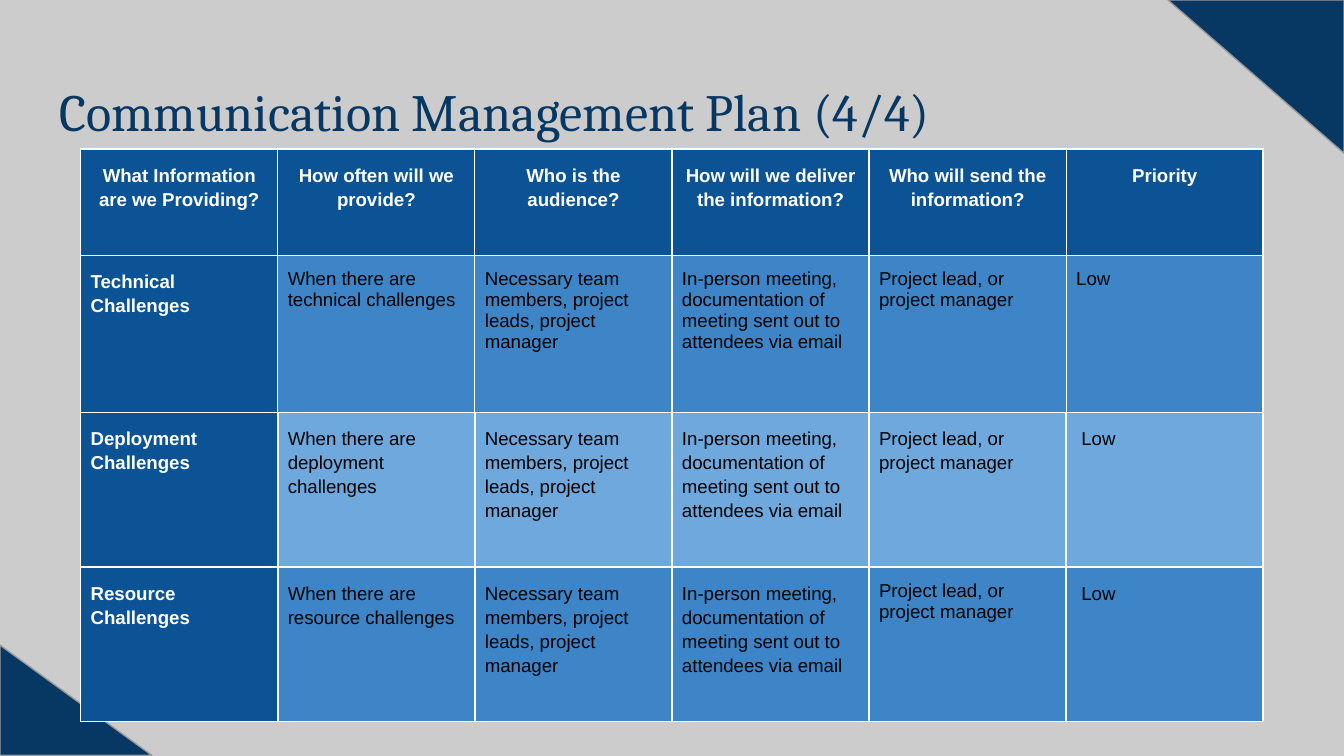
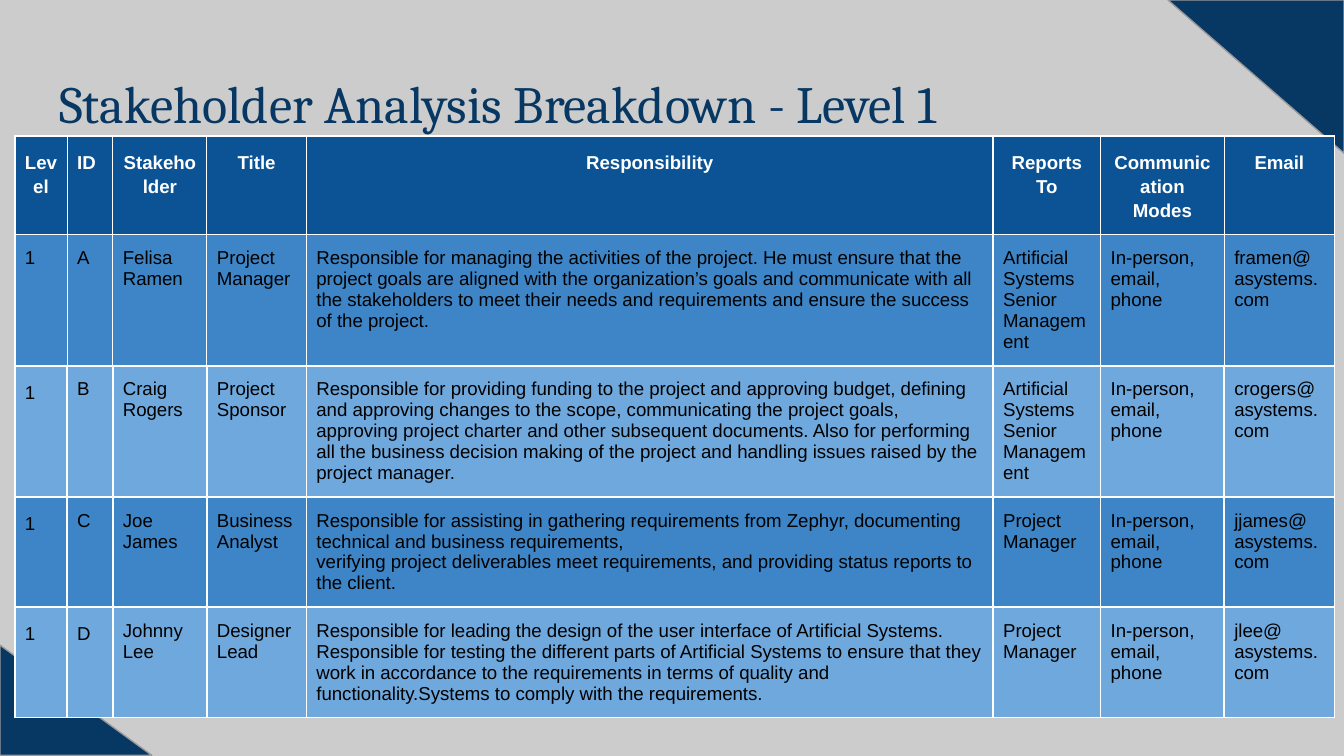
from itertools import product

from lxml import etree
from pptx import Presentation
from pptx import util as u
from pptx.dml.color import RGBColor
from pptx.enum import shapes, text
from pptx.oxml.ns import qn

# Shared look
NAVY, HEADER, DARK, LIGHT = "073763", "0B5394", "3D85C6", "6FA8DC"
GREY, EDGE, WHITE, BLACK = "CCCCCC", "999999", "FFFFFF", "000000"
W = 10
H = W * 9 / 16
CORNERS = [(0, 4.8, 1.13, 0.82, 0), (8.69, 0, 1.31, 1.14, 180)]

# Content: "\n" separates paragraphs in a cell
TEAM = "Necessary team members, project leads, project manager"
DELIVERY = ("In-person meeting, documentation of meeting sent out to "
            "attendees via email")
SENDER = "Project lead, or project manager"
SENIOR = "Artificial Systems Senior Management"
MANAGER = "Project Manager"
MODES = "In-person, email, phone"

PLAN_ROWS = [
    ("What Information are we Providing?", "How often will we provide?",
     "Who is the audience?", "How will we deliver the information?",
     "Who will send the information?", "Priority"),
    ("Technical Challenges", "When there are technical challenges",
     TEAM, DELIVERY, SENDER, "Low"),
    ("Deployment Challenges", "When there are deployment challenges",
     TEAM, DELIVERY, SENDER, " Low"),
    ("Resource Challenges", "When there are resource challenges",
     TEAM, DELIVERY, SENDER, " Low"),
]
STAKEHOLDER_ROWS = [
    ("Level", "ID", "Stakeholder", "Title", "Responsibility",
     "Reports\nTo", "Communication Modes", "Email"),
    ("1", "A", "Felisa Ramen", "Project Manager",
     "Responsible for managing the activities of the project. He must ensure "
     "that the project goals are aligned with the organization’s goals and "
     "communicate with all the stakeholders to meet their needs and "
     "requirements and ensure the success of the project.",
     SENIOR, MODES, "framen@\nasystems.com"),
    ("1", "B", "Craig Rogers", "Project Sponsor",
     "Responsible for providing funding to the project and approving budget, "
     "defining and approving changes to the scope, communicating the project "
     "goals, approving project charter and other subsequent documents. Also "
     "for performing all the business decision making of the project and "
     "handling issues raised by the project manager.",
     SENIOR, MODES, "crogers@asystems.com"),
    ("1", "C", "Joe James", "Business Analyst",
     "Responsible for assisting in gathering requirements from Zephyr, "
     "documenting technical and business requirements,\n"
     "verifying project deliverables meet requirements, and providing status "
     "reports to the client.",
     MANAGER, MODES, "jjames@\nasystems.com"),
    ("1", "D", "Johnny Lee", "Designer Lead",
     "Responsible for leading the design of the user interface of Artificial "
     "Systems. Responsible for testing the different parts of Artificial "
     "Systems to ensure that they work in accordance to the requirements in "
     "terms of quality and functionality.Systems to comply with the "
     "requirements.",
     MANAGER, MODES, "jlee@\nasystems.com"),
]

# "loose" lists the body cells with wider line spacing
SLIDES = [
    dict(title="Communication Management Plan (4/4)", title_top=0.49,
         rows=PLAN_ROWS, at=(0.6, 1.11), widths=[8.8 / 6] * 6,
         heights=[0.79, 1.17, 1.15, 1.15], row_heads=True, left_heads=(),
         loose={(1, 0), *product((2, 3), range(6))} - {(3, 4)}),
    dict(title="Stakeholder Analysis Breakdown - Level 1", title_top=0.43,
         rows=STAKEHOLDER_ROWS, at=(0.11, 1.01),
         widths=[0.39, 0.34, 0.7, 0.74, 5.11, 0.8, 0.92, 0.82],
         heights=[0.51, 0.48, 0.35, 0.38, 0.59], row_heads=False,
         left_heads=("ID",), loose={(2, 0), (3, 0), (4, 0), (4, 1)}),
]


def rgb(value):
    return RGBColor.from_string(value)


def inches(*values):
    return [u.Inches(v) for v in values]


def add_run(p, words, size, font, color, bold=False):
    r = p.add_run()
    r.text = words
    r.font.size, r.font.name, r.font.bold = u.Pt(size), font, bold
    r.font.color.rgb = rgb(color)


def add_title(s, words, top):
    sp = s.shapes.title
    sp.left, sp.top, sp.width, sp.height = inches(0.34, top, 9.32, 0.63)
    tf = sp.text_frame
    tf.word_wrap, tf.auto_size = True, text.MSO_AUTO_SIZE.NONE
    tf.vertical_anchor = text.MSO_ANCHOR.TOP
    tf.margin_left = tf.margin_right = u.Inches(0.1)
    tf.margin_top = tf.margin_bottom = u.Inches(0.1)
    p = tf.paragraphs[0]
    p.alignment = text.PP_ALIGN.LEFT
    add_run(p, words, 28, "Cambria", NAVY)


def add_corners(s):
    for *box, angle in CORNERS:
        sp = s.shapes.add_shape(shapes.MSO_SHAPE.RIGHT_TRIANGLE, *inches(*box))
        sp.rotation = angle
        sp.shadow.inherit = False
        sp.fill.solid()
        sp.fill.fore_color.rgb = rgb(NAVY)
        sp.line.color.rgb = rgb(EDGE)
        sp.line.width = u.Pt(0.75)


def set_borders(cell, widths):
    tc_pr = cell._tc.get_or_add_tcPr()
    for side, width in widths.items():
        ln = etree.SubElement(tc_pr, qn("a:ln" + side), w=str(u.Pt(width)))
        fill = etree.SubElement(ln, qn("a:solidFill"))
        etree.SubElement(fill, qn("a:srgbClr"), val=WHITE)


def add_grid(s, rows, at, widths, heights, row_heads, left_heads, loose):
    box = inches(*at, sum(widths), sum(heights))
    table = s.shapes.add_table(len(rows), len(widths), *box).table
    table.first_row = table.horz_banding = False
    for col, width in zip(table.columns, widths):
        col.width = u.Inches(width)
    for row, height in zip(table.rows, heights):
        row.height = u.Inches(height)

    for i, j in product(range(len(rows)), range(len(widths))):
        cell, words = table.cell(i, j), rows[i][j]
        head = i == 0 or (row_heads and j == 0)

        # Inner vertical rules are thinner in the two upper rows
        inner = 0.75 if i < 2 else 1
        set_borders(cell, {"L": inner if j else 1,
                           "R": inner if j < len(widths) - 1 else 1,
                           "T": 1, "B": 1})
        cell.fill.solid()
        cell.fill.fore_color.rgb = rgb(HEADER if head else DARK if i % 2 else LIGHT)
        cell.margin_left = cell.margin_right = u.Pt(5.4)
        cell.margin_top = cell.margin_bottom = u.Inches(0.1)

        tf = cell.text_frame
        for k, line in enumerate(words.split("\n")):
            p = tf.add_paragraph() if k else tf.paragraphs[0]
            centred = i == 0 and words not in left_heads
            p.alignment = text.PP_ALIGN.CENTER if centred else text.PP_ALIGN.LEFT
            p.line_spacing = 1.15 if i == 0 or (i, j) in loose else 1.0
            add_run(p, line, 10, "Arial", WHITE if head else BLACK, head)


def main():
    prs = Presentation()
    prs.slide_width, prs.slide_height = inches(W, H)
    for content in SLIDES:
        s = prs.slides.add_slide(prs.slide_layouts[5])
        s.background.fill.solid()
        s.background.fill.fore_color.rgb = rgb(GREY)
        grid = dict(content)
        add_title(s, grid.pop("title"), grid.pop("title_top"))
        add_corners(s)
        add_grid(s, **grid)
    prs.save("out.pptx")


if __name__ == "__main__":
    main()
